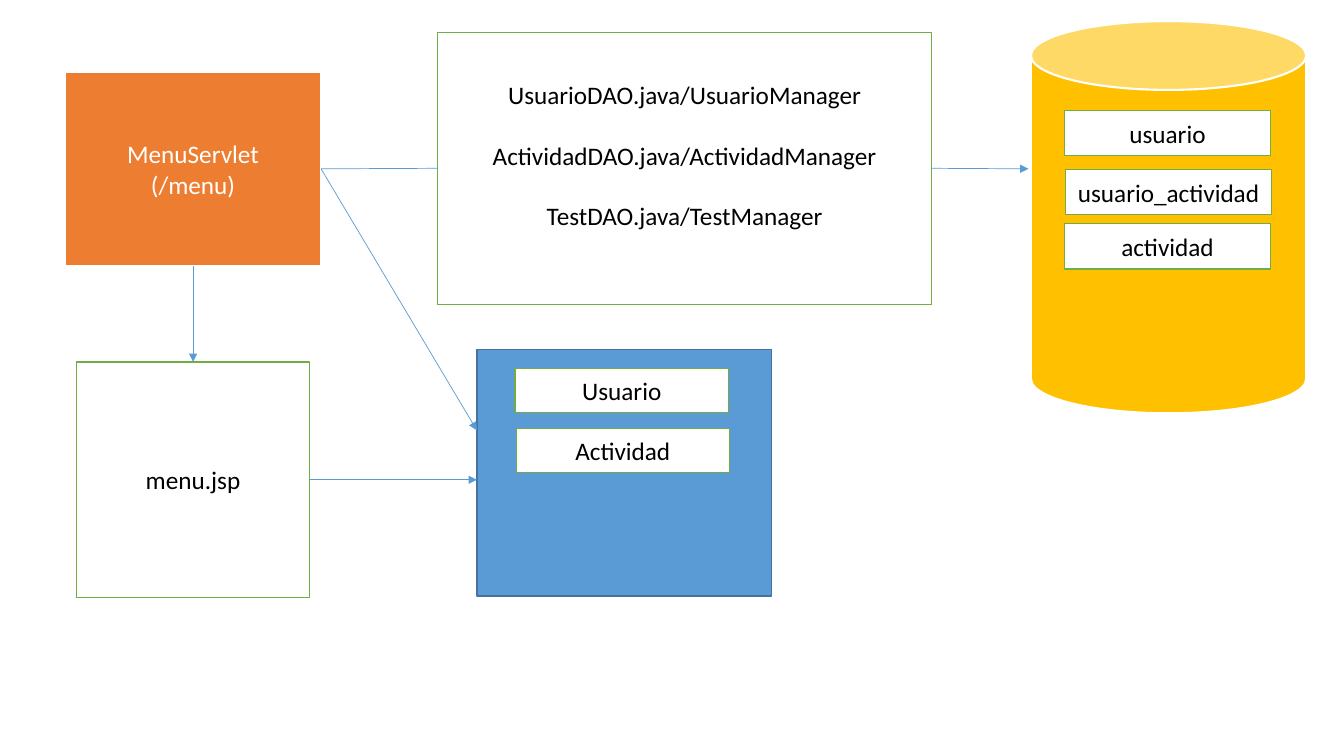
import dataclasses
import typing

import lxml.etree
import pptx
import pptx.dml.color
import pptx.enum.shapes
import pptx.enum.text
import pptx.oxml.ns
import pptx.util

Kind = pptx.enum.shapes.MSO_SHAPE


@dataclasses.dataclass(frozen=True)
class Theme:
    font: str = "Calibri"
    size: float = 18
    cell: float = 0.1
    white: str = "FFFFFF"
    black: str = "000000"
    orange: str = "ED7D31"
    green: str = "70AD47"
    blue: str = "5B9BD5"
    navy: str = "43739E"
    gold: str = "FFC000"
    thin: float = 0.5
    edge: float = 1
    thick: float = 1.5


THEME = Theme()


@dataclasses.dataclass(frozen=True)
class Box:
    name: str
    col: float
    row: float
    wide: float
    high: float
    lines: tuple[str, ...] = ()
    fill: str = THEME.white
    edge: str = THEME.green
    width: float = THEME.edge
    ink: str = THEME.black
    kind: typing.Any = Kind.RECTANGLE
    gap: float = 0
    base: float = 0.5


@dataclasses.dataclass(frozen=True)
class Link:
    start: str
    side: int
    col: float = 0
    row: float = 0
    goal: str = ""
    port: int = 0
    head: bool = True


def label(name: str, col: float, row: float, wide: float, high: float) -> Box:
    return Box(name, col, row, wide, high, (name,))


BOXES = (
    Box("servlet", 6.45, 7.15, 25.4, 19.2, ("MenuServlet", "(/menu)"),
        THEME.orange, THEME.white, THEME.thick, THEME.white),
    Box("managers", 43.4, 3.2, 49, 27,
        ("UsuarioDAO.java/UsuarioManager", "ActividadDAO.java/ActividadManager",
         "TestDAO.java/TestManager"), gap=21.6, base=3.1),
    Box("database", 102.25, 2.1, 27.3, 38.9, (), THEME.gold, THEME.white,
        THEME.thick, kind=Kind.CAN),
    label("usuario", 105.6, 10.95, 20.4, 4.5),
    label("usuario_actividad", 105.7, 16.8, 20.4, 4.5),
    label("actividad", 105.6, 22.2, 20.4, 4.5),
    label("menu.jsp", 7.6, 35.9, 23.1, 23.4),
    Box("model", 47.3, 34.65, 29.2, 24.5, (), THEME.blue, THEME.navy),
    label("Usuario", 51.1, 36.55, 21.15, 4.4),
    label("Actividad", 51.2, 42.5, 21.15, 4.4),
)

LINKS = (
    Link("servlet", 3, goal="managers", port=1, head=False),
    Link("managers", 3, 102, 16.75),
    Link("servlet", 2, goal="menu.jsp"),
    Link("menu.jsp", 3, 47.3, 47.6),
    Link("servlet", 3, 47.3, 42.7),
)


def grid(cells: float) -> int:
    return pptx.util.Inches(cells * THEME.cell)


def tint(code: str) -> pptx.dml.color.RGBColor:
    return pptx.dml.color.RGBColor.from_string(code)


def style(target: typing.Any, values: dict[str, typing.Any]) -> None:
    for key, value in values.items():
        setattr(target, key, value)


def stroke(line: typing.Any, color: str, width: float) -> None:
    line.color.rgb = tint(color)
    line.width = pptx.util.Pt(width)


def write(frame: typing.Any, box: Box) -> None:
    style(frame, {"word_wrap": True, "margin_bottom": grid(box.base),
                  "vertical_anchor": pptx.enum.text.MSO_ANCHOR.MIDDLE})
    for index, text in enumerate(box.lines):
        para = frame.add_paragraph() if index else frame.paragraphs[0]
        style(para, {"alignment": pptx.enum.text.PP_ALIGN.CENTER,
                     "space_before": pptx.util.Pt(box.gap if index else 0)})
        run = para.add_run()
        run.text = text
        style(run.font, {"name": THEME.font, "size": pptx.util.Pt(THEME.size)})
        run.font.color.rgb = tint(box.ink)


def draw(slide: typing.Any, box: Box) -> typing.Any:
    spots = map(grid, (box.col, box.row, box.wide, box.high))
    shape = slide.shapes.add_shape(box.kind, *spots)
    shape.shadow.inherit = False
    shape.fill.solid()
    shape.fill.fore_color.rgb = tint(box.fill)
    stroke(shape.line, box.edge, box.width)
    if box.lines:
        write(shape.text_frame, box)
    return shape


def join(slide: typing.Any, link: Link, boxes: dict[str, typing.Any]) -> None:
    end = grid(link.col), grid(link.row)
    line = slide.shapes.add_connector(
        pptx.enum.shapes.MSO_CONNECTOR.STRAIGHT, *end, *end)
    line.begin_connect(boxes[link.start], link.side)
    if link.goal:
        line.end_connect(boxes[link.goal], link.port)
    stroke(line.line, THEME.blue, THEME.thin)
    qn = pptx.oxml.ns.qn
    props = line.element.spPr
    if link.head:
        lxml.etree.SubElement(props.find(qn("a:ln")), qn("a:tailEnd"), type="triangle")
    lxml.etree.SubElement(props, qn("a:effectLst"))


def main() -> None:
    """Draw the flow from the menu servlet to its view, model and database."""
    deck = pptx.Presentation()
    style(deck, {"slide_width": pptx.util.Inches(13.33),
                 "slide_height": pptx.util.Inches(7.5)})
    slide = deck.slides.add_slide(deck.slide_layouts[6])
    boxes = {box.name: draw(slide, box) for box in BOXES}
    for link in LINKS:
        join(slide, link, boxes)
    deck.save("out.pptx")


if __name__ == "__main__":
    main()
